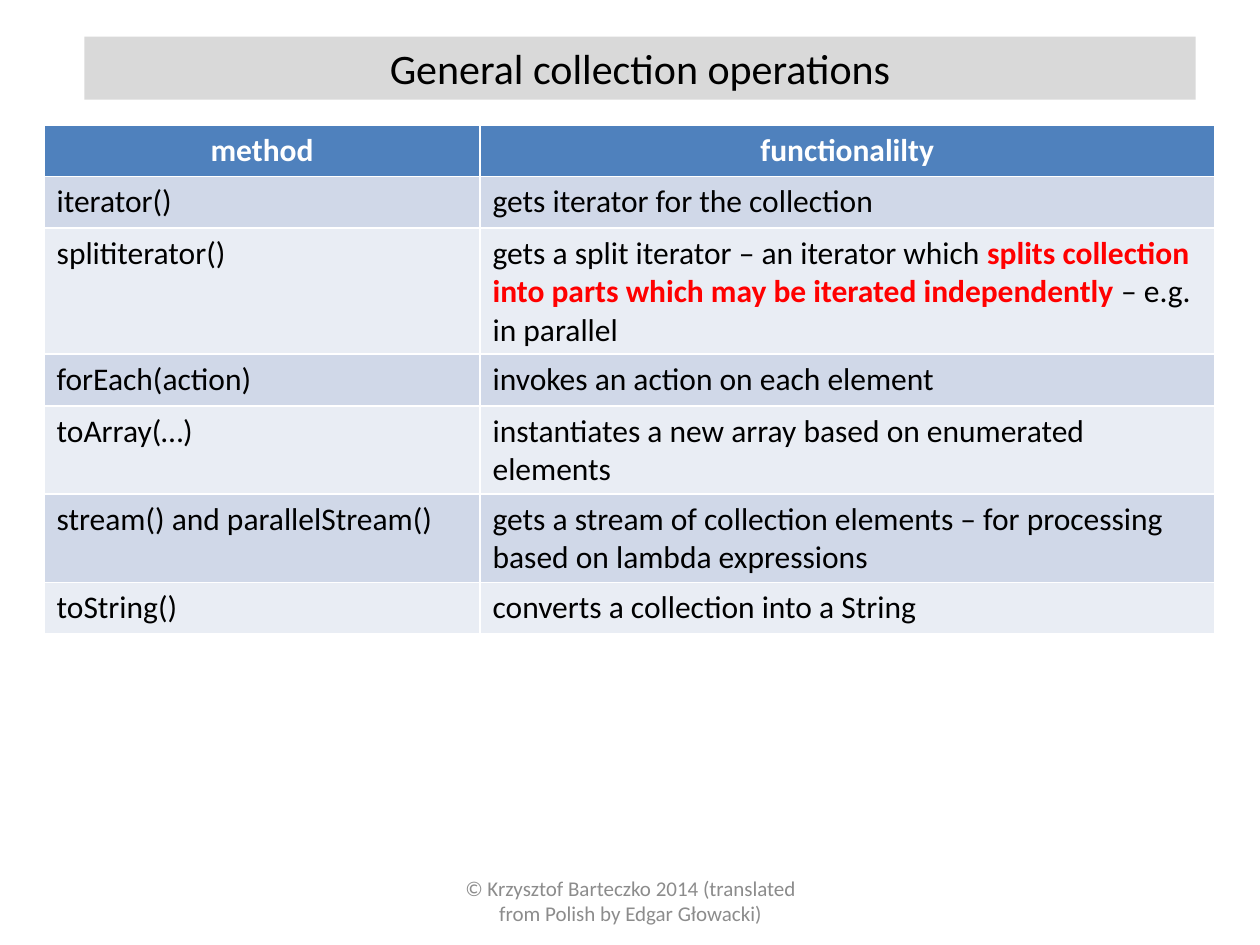
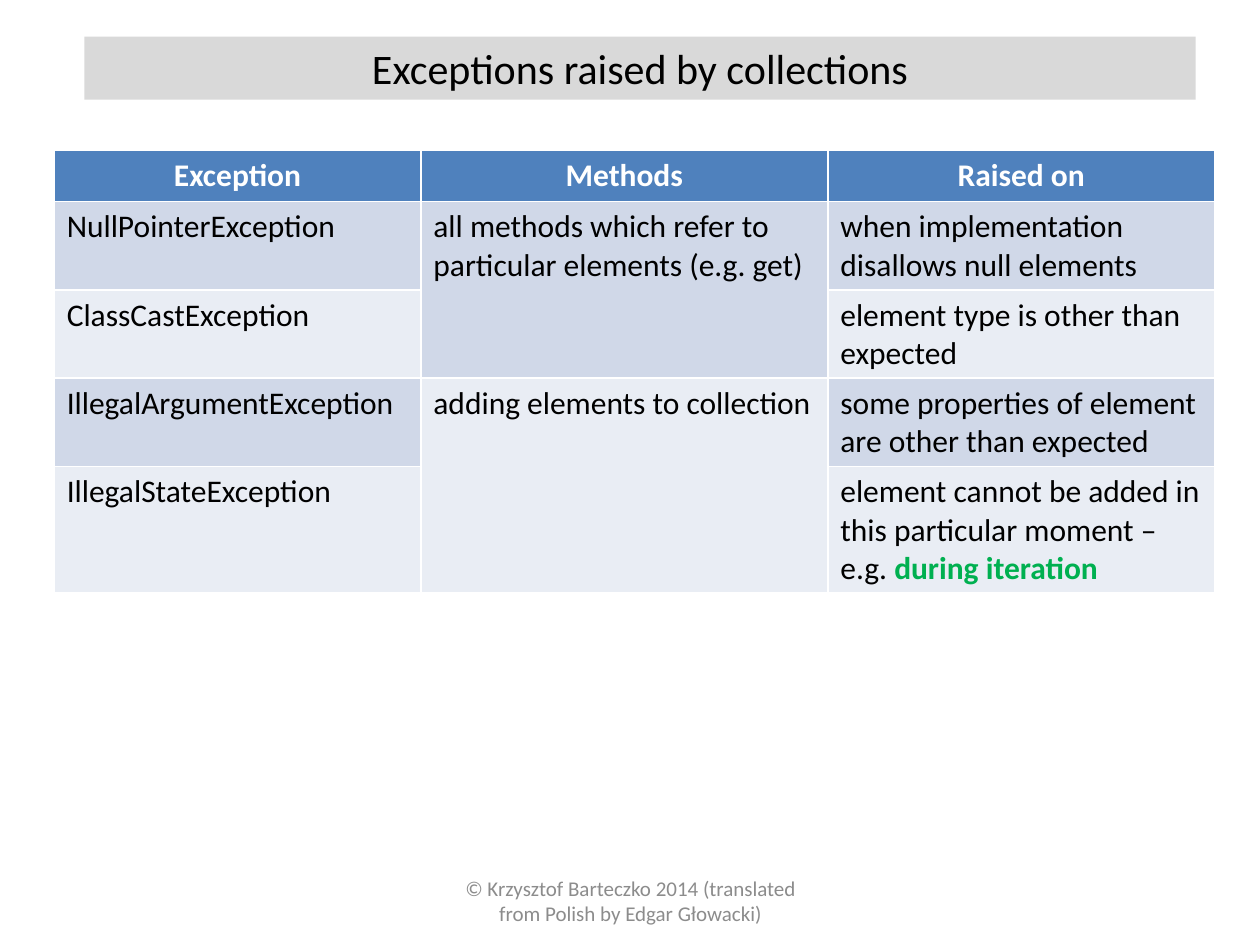
from pptx import Presentation
from pptx.dml.color import RGBColor
from pptx.enum.text import MSO_ANCHOR as Anchor, MSO_AUTO_SIZE as AutoSize, PP_ALIGN as Align
from pptx.util import Inches, Pt

BLACK = RGBColor(0x00, 0x00, 0x00)
WHITE = RGBColor(0xFF, 0xFF, 0xFF)
RED = RGBColor(0xFF, 0x00, 0x00)
GREEN = RGBColor(0x00, 0xB0, 0x50)
FOOTER_GREY = RGBColor(0x8C, 0x8C, 0x8C)
TITLE_GREY = RGBColor(0xD9, 0xD9, 0xD9)
HEADER_BLUE = RGBColor(0x4F, 0x81, 0xBD)
BANDS = [RGBColor(0xD0, 0xD8, 0xE8), RGBColor(0xE9, 0xED, 0xF4)]

TITLE_FONT = {"name": "Calibri", "size": Pt(24), "bold": False}
FOOTER_FONT = {"name": "Calibri", "size": Pt(12), "bold": False}
HEADER_FONT = {"name": "Calibri", "size": Pt(18), "bold": True}
BODY_FONT = {"name": "Calibri", "size": Pt(18), "bold": False}

FOOTER = "© Krzysztof Barteczko 2014 (translated from Polish by Edgar Głowacki)"

# Rows hold plain strings or lists of (text, highlight colour) pieces;
# None continues the cell above.
SLIDES = [
    {
        "title": "General collection operations",
        "left": 3.5, "top": 13.2, "widths": [34.6, 58.3],
        "rows": [
            ["method", "functionalilty"],
            ["iterator()", "gets iterator for the collection"],
            ["splititerator()", [
                ("gets a split iterator – an iterator which ", None),
                ("splits collection into parts which may be iterated independently ", RED),
                ("– e.g. in parallel", None)]],
            ["forEach(action)", "invokes an action on each element"],
            ["toArray(…)", "instantiates a new array based on enumerated elements"],
            ["stream() and parallelStream()",
             "gets a stream of collection elements – for processing based on lambda expressions"],
            ["toString()", "converts a collection into a String"],
        ],
    },
    {
        "title": "Exceptions raised by collections",
        "left": 4.3, "top": 15.87, "widths": [29.1, 32.3, 30.7],
        "rows": [
            ["Exception", "Methods", "Raised on"],
            ["NullPointerException", "all methods which refer to particular elements (e.g. get)",
             "when implementation disallows null elements"],
            ["ClassCastException", None, "element type is other than expected"],
            ["IllegalArgumentException", "adding elements to collection",
             "some properties of element are other than expected"],
            ["IllegalStateException", None, [
                ("element cannot be added in this particular moment – e.g. ", None),
                ("during iteration", GREEN)]],
        ],
    },
]


def write(paragraph, content, style, color, align):
    pieces = [(content, None)] if isinstance(content, str) else content
    paragraph.alignment = align
    for text, highlight in pieces:
        run = paragraph.add_run()
        run.text = text
        for attribute, value in style.items():
            setattr(run.font, attribute, value)
        run.font.color.rgb = highlight or color
        if highlight:
            run.font.bold = True


prs = Presentation()
prs.slide_width, prs.slide_height = Inches(10), Inches(7.5)
COL, ROW = prs.slide_width / 100, prs.slide_height / 100
TABLE_ROW = 5.47


def place(shape, left, top, width, height):
    """Position a shape on the 100 by 100 slide grid."""
    shape.left, shape.width = int(left * COL), int(width * COL)
    shape.top, shape.height = int(top * ROW), int(height * ROW)


title_only = prs.slide_layouts[5]

for content in SLIDES:
    slide = prs.slides.add_slide(title_only)

    footer = slide.shapes.add_textbox(0, 0, 0, 0)
    place(footer, 34.2, 92.67, 31.7, 5.33)
    footer.text_frame.word_wrap = True
    footer.text_frame.vertical_anchor = Anchor.MIDDLE
    write(footer.text_frame.paragraphs[0], FOOTER, FOOTER_FONT, FOOTER_GREY, Align.CENTER)

    title = slide.shapes.title
    place(title, 6.7, 3.87, 88.2, 6.67)
    title.fill.solid()
    title.fill.fore_color.rgb = TITLE_GREY
    title.text_frame.auto_size = AutoSize.NONE
    title.text_frame.vertical_anchor = Anchor.MIDDLE
    write(title.text_frame.paragraphs[0], content["title"], TITLE_FONT, BLACK, Align.CENTER)

    rows, widths = content["rows"], content["widths"]
    frame = slide.shapes.add_table(len(rows), len(widths), 0, 0, 0, 0)
    place(frame, content["left"], content["top"], sum(widths), TABLE_ROW * len(rows))
    grid = frame.table
    for grid_row in grid.rows:
        grid_row.height = int(TABLE_ROW * ROW)

    for c, width in enumerate(widths):
        grid.columns[c].width = int(width * COL)
        block = 0  # bands alternate per block, so merged cells count once
        for r, row in enumerate(rows):
            cell = grid.cell(r, c)
            if row[c] is None:
                grid.cell(r - 1, c).merge(cell)
                continue
            paragraph = cell.text_frame.paragraphs[0]
            cell.fill.solid()
            if r == 0:
                cell.fill.fore_color.rgb = HEADER_BLUE
                cell.vertical_anchor = Anchor.MIDDLE
                write(paragraph, row[c], HEADER_FONT, WHITE, Align.CENTER)
            else:
                cell.fill.fore_color.rgb = BANDS[block % 2]
                block += 1
                write(paragraph, row[c], BODY_FONT, BLACK, Align.LEFT)

prs.save("out.pptx")
